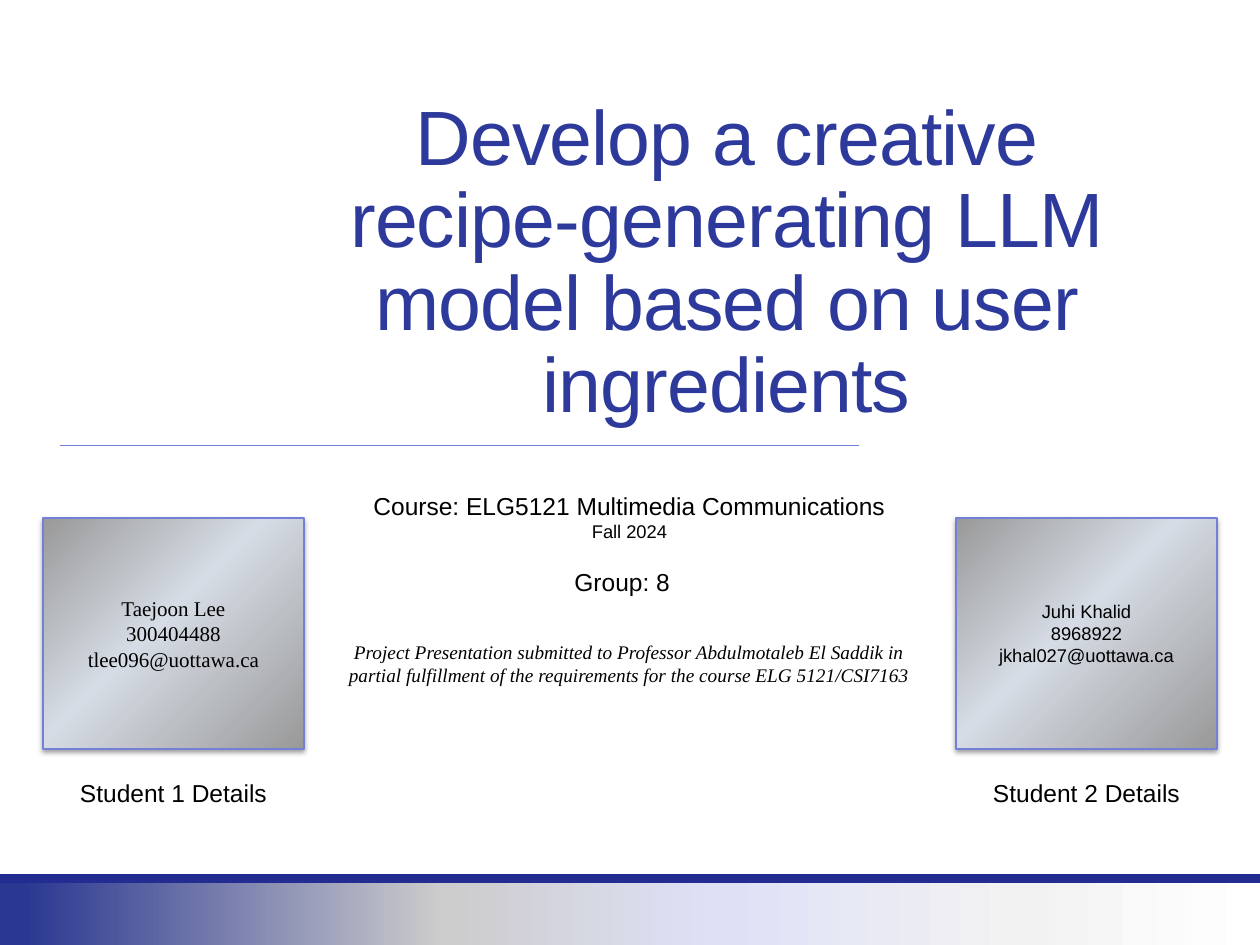
from dataclasses import dataclass
from lxml import etree
from pptx import Presentation
from pptx.dml.color import RGBColor
from pptx.enum.shapes import MSO_CONNECTOR, MSO_SHAPE
from pptx.enum.text import MSO_ANCHOR, MSO_AUTO_SIZE, PP_ALIGN
from pptx.oxml.ns import qn
from pptx.util import Emu, Pt

EMU_PER_INCH = 914400
PX_PER_INCH = 126
RECTANGLE = MSO_SHAPE.RECTANGLE
STRAIGHT = MSO_CONNECTOR.STRAIGHT
LEFT, CENTER = PP_ALIGN.LEFT, PP_ALIGN.CENTER
MIDDLE, BOTTOM = MSO_ANCHOR.MIDDLE, MSO_ANCHOR.BOTTOM
NO_AUTOFIT = MSO_AUTO_SIZE.NONE
SANS, SERIF = "Arial", "Times New Roman"

BLACK = RGBColor(0x00, 0x00, 0x00)
WHITE = RGBColor(0xFF, 0xFF, 0xFF)
TITLE_BLUE = RGBColor(0x2D, 0x3A, 0x9B)
BAND_BLUE = RGBColor(0x22, 0x2C, 0x91)
DEEP_BLUE = RGBColor(0x2B, 0x38, 0x91)
LINE_BLUE = RGBColor(0x74, 0x80, 0xD6)
PALE_BLUE = RGBColor(0xDE, 0xE1, 0xF6)
STEEL = RGBColor(0xD6, 0xDC, 0xE5)
GRAY = RGBColor(0x99, 0x99, 0x99)
LIGHT_GRAY = RGBColor(0xCC, 0xCC, 0xCC)
MIST = RGBColor(0xF2, 0xF2, 0xF2)

FOOTER_STOPS = ((2, DEEP_BLUE), (35, LIGHT_GRAY), (57, PALE_BLUE), (81, MIST), (100, WHITE))
CARD_STOPS = ((0, GRAY), (45, STEEL), (100, GRAY))


@dataclass(frozen=True)
class Box:
    left: int
    top: int
    width: int
    height: int


@dataclass(frozen=True)
class Student:
    left: int
    details: tuple[str, ...]
    caption: str
    font: str
    size: float


STUDENTS = (
    Student(43, ("Taejoon Lee", "300404488", "tlee096@uottawa.ca"), "Student 1 Details", SERIF, 12),
    Student(956, ("Juhi Khalid", "8968922", "jkhal027@uottawa.ca"), "Student 2 Details", SANS, 10.5),
)


def px(value: int) -> Emu:
    """Convert pixels to EMU."""
    return Emu(round(value * EMU_PER_INCH / PX_PER_INCH))


def bounds(box: Box) -> tuple[Emu, ...]:
    """Return the position and size of a box in EMU."""
    return px(box.left), px(box.top), px(box.width), px(box.height)


def add_text(frame, text: str, size: float = 14, font: str = SANS, color: RGBColor = BLACK,
             align=CENTER, italic: bool = False, first: bool = False):
    """Write one formatted paragraph and return it."""
    paragraph = frame.paragraphs[0] if first else frame.add_paragraph()
    paragraph.alignment = align
    run = paragraph.add_run()
    run.text = text
    run.font.name = font
    run.font.size = Pt(size)
    run.font.color.rgb = color
    run.font.italic = italic
    return paragraph


def add_text_box(slide, box: Box, wrap: bool = True):
    """Add an empty text box and return its text frame."""
    frame = slide.shapes.add_textbox(*bounds(box)).text_frame
    frame.word_wrap = wrap
    return frame


def add_rectangle(slide, box: Box):
    """Add a rectangle without line or shadow."""
    shape = slide.shapes.add_shape(RECTANGLE, *bounds(box))
    shape.shadow.inherit = False
    shape.line.fill.background()
    return shape


def set_gradient(shape, stops: tuple, angle: int) -> None:
    """Fill a shape with a linear gradient, its angle clockwise in degrees."""
    shape.fill.gradient()
    gradient = shape.element.spPr.find(qn("a:gradFill"))
    stop_list = gradient.find(qn("a:gsLst"))
    for stop in list(stop_list):
        stop_list.remove(stop)
    for position, color in stops:
        stop = etree.SubElement(stop_list, qn("a:gs"), pos=str(position * 1000))
        etree.SubElement(stop, qn("a:srgbClr"), val=str(color))
    gradient.find(qn("a:lin")).set("ang", str(angle * 60000))


def set_shadow(shape) -> None:
    """Give a shape a soft shadow below it."""
    effects = shape.element.spPr.find(qn("a:effectLst"))
    shadow = etree.SubElement(effects, qn("a:outerShdw"), blurRad=str(Pt(3.1)), dist=str(Pt(1.6)),
                              dir="5400000", rotWithShape="0")
    color = etree.SubElement(shadow, qn("a:srgbClr"), val=str(BLACK))
    etree.SubElement(color, qn("a:alpha"), val="38000")


def add_background(slide) -> None:
    """Draw the divider and the footer bands."""
    divider = slide.shapes.add_connector(STRAIGHT, px(60), px(445), px(859), px(445))
    divider.line.color.rgb = LINE_BLUE
    divider.line.width = Pt(0.5)
    etree.SubElement(divider.element.spPr, qn("a:effectLst"))
    set_gradient(add_rectangle(slide, Box(0, 882, 1260, 63)), FOOTER_STOPS, 0)
    band = add_rectangle(slide, Box(0, 874, 1260, 9))
    band.fill.solid()
    band.fill.fore_color.rgb = BAND_BLUE


def fill_title(title) -> None:
    """Place and write the title."""
    title.left, title.top, title.width, title.height = bounds(Box(281, 163, 891, 272))
    frame = title.text_frame
    frame.auto_size = NO_AUTOFIT
    frame.vertical_anchor = BOTTOM
    text = "Develop a creative recipe-generating LLM model based on user ingredients"
    paragraph = add_text(frame, text, size=44, color=TITLE_BLUE, first=True)
    paragraph.line_spacing = 0.89
    paragraph.runs[0].font._element.set("spc", "-50")


def add_student(slide, student: Student) -> None:
    """Draw a student's card and its caption."""
    card = add_rectangle(slide, Box(student.left, 518, 261, 231))
    set_gradient(card, CARD_STOPS, 45)
    set_shadow(card)
    card.line.color.rgb = LINE_BLUE
    card.line.width = Pt(0.75)
    card.text_frame.vertical_anchor = MIDDLE
    for index, detail in enumerate(student.details):
        add_text(card.text_frame, detail, student.size, student.font, first=index == 0)
    caption = add_text_box(slide, Box(student.left, 772, 261, 43))
    add_text(caption, student.caption, first=True)


def add_course(slide) -> None:
    """Write the course, group and submission texts."""
    course = add_text_box(slide, Box(326, 485, 607, 64))
    add_text(course, "Course: ELG5121 Multimedia Communications", first=True)
    add_text(course, "Fall 2024", size=10.5)
    group = add_text_box(slide, Box(562, 561, 121, 43), wrap=False)
    add_text(group, "Group: 8", align=LEFT, first=True)
    submission = add_text_box(slide, Box(335, 634, 588, 59), wrap=False)
    add_text(submission, "Project Presentation submitted to Professor Abdulmotaleb El Saddik in",
             size=11, font=SERIF, italic=True, first=True)
    add_text(submission, "partial fulfillment of the requirements for the course ELG 5121/CSI7163",
             size=11, font=SERIF, italic=True)


def main() -> None:
    """Build and save the presentation."""
    presentation = Presentation()
    presentation.slide_width, presentation.slide_height = px(1260), px(945)
    slide = presentation.slides.add_slide(presentation.slide_layouts[0])
    subtitle = slide.placeholders[1].element
    subtitle.getparent().remove(subtitle)
    add_background(slide)
    fill_title(slide.shapes.title)
    for student in STUDENTS:
        add_student(slide, student)
    add_course(slide)
    presentation.save("out.pptx")


if __name__ == "__main__":
    main()
